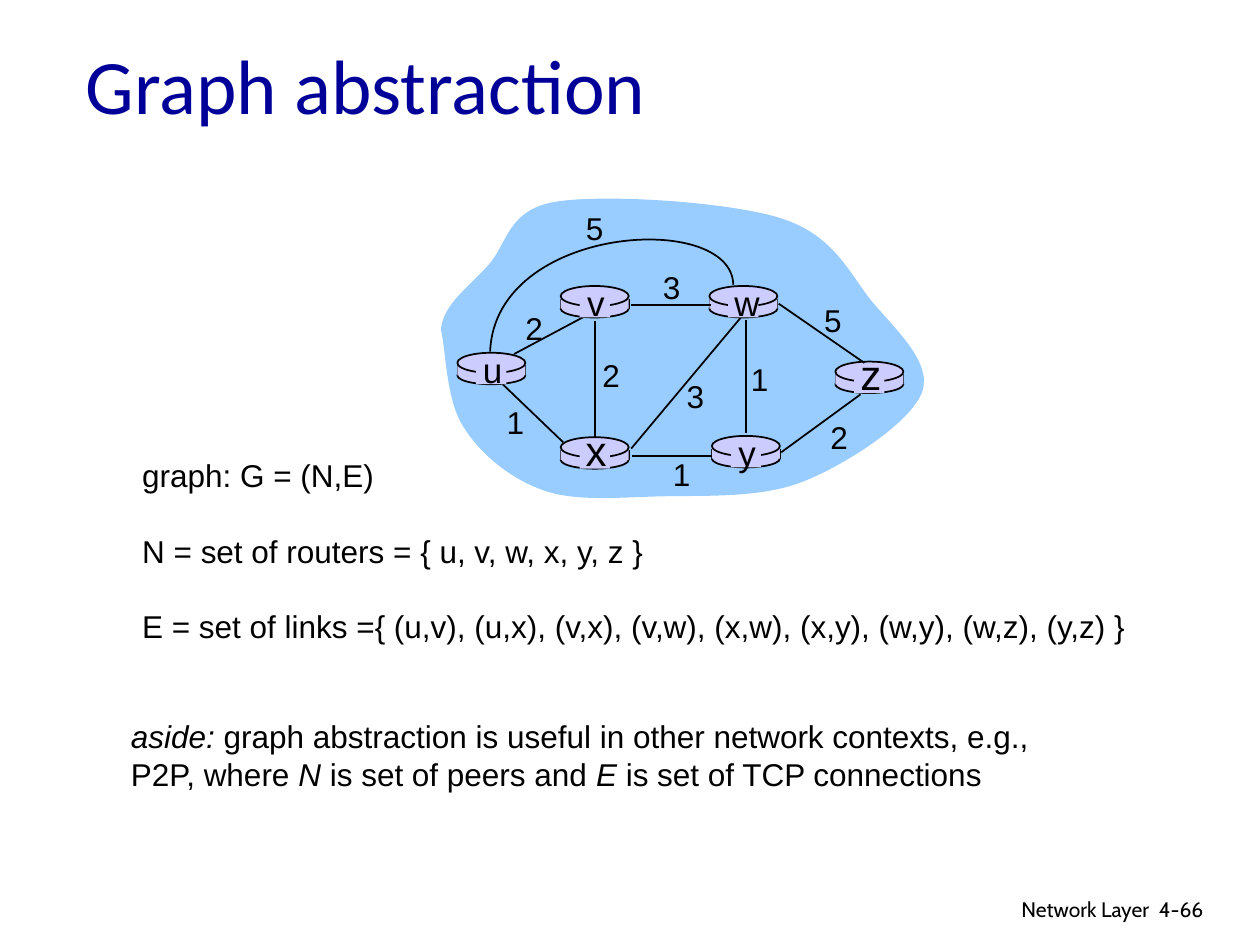
from lxml.etree import SubElement
from pptx import Presentation
from pptx.dml.color import RGBColor
from pptx.enum.shapes import MSO_CONNECTOR, MSO_SHAPE
from pptx.enum.text import MSO_ANCHOR, PP_ALIGN
from pptx.oxml.ns import qn
from pptx.util import Inches, Pt

BLACK = RGBColor(0, 0, 0)
NAVY = RGBColor(0, 0, 0x99)
SKY = RGBColor(0x99, 0xCC, 0xFF)
LILAC = RGBColor(0xCC, 0xCC, 0xFF)

SLIDE_W, SLIDE_H = Inches(10), Inches(7.5)
COL, ROW = SLIDE_W / 1000, SLIDE_H / 750
NET_COLS, NET_ROWS = 390, 244

BLOB = [(0, 108), (1, 88), (23, 73), (38, 56), (53, 39), (53, 12), (92, 6),
        (130, 0), (227, 6), (269, 19), (311, 32), (323, 61), (341, 84),
        (360, 107), (390, 133), (382, 157), (373, 181), (323, 214), (288, 228),
        (253, 242), (207, 239), (172, 240), (138, 241), (106, 244), (81, 235),
        (55, 226), (31, 206), (18, 185), (4, 164), (4, 124), (0, 108)]
UW_ARC = [(232, 72), (231, 13), (43, 24), (39, 125)]
ROUTERS = [("u", 13, 126, 20), ("x", 95, 193, 24), ("v", 95, 73, 20),
           ("w", 213, 73, 20), ("y", 215, 192, 20), ("z", 313, 133, 24)]
UV_LINK = (58, 127, 118, 95)
LINKS = [(242, 100, 242, 190), (122, 101, 122, 194), (151, 202, 238, 98),
         (270, 205, 333, 159), (215, 208, 152, 208), (97, 197, 49, 151),
         (214, 88, 151, 88), (336, 134, 268, 87)]
COSTS = [("2", 74, 106), ("2", 135, 144), ("1", 59, 181), ("3", 202, 160),
         ("1", 191, 222), ("1", 253, 147), ("2", 316, 193), ("5", 311, 100),
         ("3", 183, 74), ("5", 122, 27)]


def place(box):
    x, y, w, h = box
    return round(x * COL), round(y * ROW), round(w * COL), round(h * ROW)


def add_text(s, box, paragraphs, size, font="Arial", align=PP_ALIGN.LEFT,
             leading=1.2, gap=0):
    tf = s.shapes.add_textbox(*place(box)).text_frame
    tf.word_wrap = True
    for i, runs in enumerate(paragraphs):
        p = tf.paragraphs[0] if i == 0 else tf.add_paragraph()
        p.alignment = align
        if leading:
            p.line_spacing = Pt(size * leading)
        p.space_before = Pt(gap if i else 0)
        for text, italic in runs:
            r = p.add_run()
            r.text = text
            r.font.name, r.font.size, r.font.italic = font, Pt(size), italic
            r.font.color.rgb = BLACK


def plain(*lines):
    return [[(line, False)] for line in lines]


def outline(shape):
    shape.line.color.rgb = BLACK
    shape.line.width = Pt(1)


def add_solid(s, kind, box, lined=False):
    sp = s.shapes.add_shape(kind, *place(box))
    sp.shadow.inherit = False
    sp.fill.solid()
    sp.fill.fore_color.rgb = LILAC
    if lined:
        outline(sp)
    else:
        sp.line.fill.background()


def add_link(s, x1, y1, x2, y2):
    link = s.shapes.add_connector(MSO_CONNECTOR.STRAIGHT, round(x1 * COL),
                                  round(y1 * ROW), round(x2 * COL), round(y2 * ROW))
    outline(link)
    SubElement(link._element.spPr, qn("a:effectLst"))


def add_curve(s, points, close):
    (x, y), *rest = [(round(x * COL), round(y * ROW)) for x, y in points]
    builder = s.shapes.build_freeform(x, y)
    builder.add_line_segments(rest, close=close)
    sp = builder.convert_to_shape()
    sp.shadow.inherit = False
    segments = list(sp._element.iter(qn("a:lnTo")))
    for i in range(0, len(segments), 3):
        curve = segments[i].makeelement(qn("a:cubicBezTo"))
        segments[i].addprevious(curve)
        for segment in segments[i:i + 3]:
            curve.append(segment[0])
            segment.getparent().remove(segment)
    return sp


def add_router(s, x, y):
    add_solid(s, MSO_SHAPE.OVAL, (x, y + 11, 54, 14), True)
    for side in (x, x + 54):
        add_link(s, side, y + 10, side, y + 18)
    add_solid(s, MSO_SHAPE.RECTANGLE, (x, y + 10, 54, 8))
    add_solid(s, MSO_SHAPE.OVAL, (x, y, 54, 16), True)


def add_router_name(s, name, x, y, size):
    add_solid(s, MSO_SHAPE.RECTANGLE, (x + 15, y + 2, 24, 23))
    height = size * 1.2 / 0.72 + 10
    add_text(s, (x + 10, y + 35 - height, 36, height), plain(name), size,
             align=PP_ALIGN.CENTER)


def add_network(s, box):
    left, top, width, height = box
    kx, ky = width / NET_COLS, height / NET_ROWS

    def at(x, y):
        return left + x * kx, top + y * ky

    blob = add_curve(s, [at(*q) for q in BLOB], True)
    blob.fill.solid()
    blob.fill.fore_color.rgb = SKY
    blob.line.fill.background()

    add_link(s, *at(*UV_LINK[:2]), *at(*UV_LINK[2:]))
    for _, x, y, _ in ROUTERS:
        add_router(s, *at(x, y))
    for link in LINKS:
        add_link(s, *at(*link[:2]), *at(*link[2:]))
    arc = add_curve(s, [at(*q) for q in UW_ARC], False)
    arc.fill.background()
    outline(arc)
    for name, x, y, size in ROUTERS:
        add_router_name(s, name, *at(x, y), size)
    for cost, x, y in COSTS:
        cx, cy = at(x, y)
        add_text(s, (cx - 17, cy - 20, 34, 40), plain(cost), 18, align=PP_ALIGN.CENTER)


def add_title(s, box):
    title = s.shapes.title
    title.left, title.top, title.width, title.height = place(box)
    tf = title.text_frame
    tf.text = "Graph abstraction"
    tf.vertical_anchor = MSO_ANCHOR.MIDDLE
    p = tf.paragraphs[0]
    p.alignment = PP_ALIGN.LEFT
    font = p.runs[0].font
    font.name, font.size, font.color.rgb = "Calibri", Pt(44), NAVY


def add_definitions(s, box):
    add_text(s, box, plain(
        "graph: G = (N,E)",
        "N = set of routers = { u, v, w, x, y, z }",
        "E = set of links ={ (u,v), (u,x), (v,x), (v,w), (x,w), (x,y), (w,y), (w,z), (y,z) }",
    ), 18, gap=21.6)


def add_aside(s, box):
    add_text(s, box, [
        [("aside:", True),
         (" graph abstraction is useful in other network contexts, e.g.,", False)],
        [("P2P, where ", False), ("N", True), (" is set of peers and ", False),
         ("E", True), (" is set of TCP connections", False)],
    ], 18)


def add_footer(s, box):
    x, y, w, h = box
    add_text(s, (x, y, w - 62, h), plain("Network Layer"), 12, "Cabin",
             PP_ALIGN.RIGHT, leading=None)
    add_text(s, (x + w - 74, y, 74, h), plain("4-66"), 12, "Cabin", leading=None)


def main():
    prs = Presentation()
    prs.slide_width, prs.slide_height = SLIDE_W, SLIDE_H
    s = prs.slides.add_slide(prs.slide_layouts[5])
    add_footer(s, (605, 707, 379, 30))
    add_network(s, (350, 154, NET_COLS, NET_ROWS))
    add_definitions(s, (103, 357, 809, 160))
    add_title(s, (58, 23, 850, 87))
    add_aside(s, (94, 564, 803, 70))
    prs.save("out.pptx")


if __name__ == "__main__":
    main()
